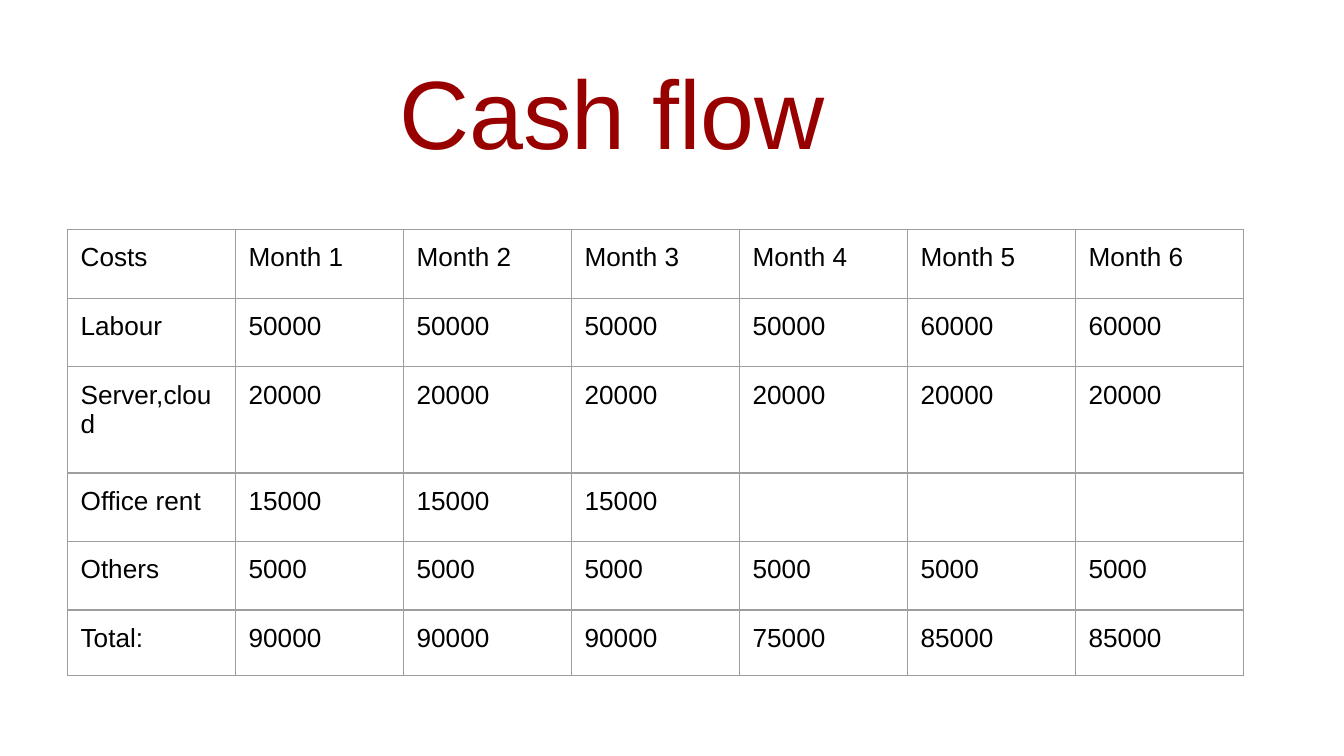
from dataclasses import dataclass

from lxml import etree
from pptx import Presentation
from pptx import util as u
from pptx.dml.color import RGBColor
from pptx.enum import text
from pptx.oxml import ns


@dataclass(frozen=True)
class Theme:
    font: str = "Arial"
    title_color: str = "980000"
    text_color: str = "000000"
    border_color: str = "9E9E9E"
    title_size: int = 52
    table_size: int = 14
    border_width: float = 0.75


theme = Theme()
inset = u.Inches(0.1)


def add_run(paragraph, content, size, color):
    run = paragraph.add_run()
    run.text = content
    run.font.name = theme.font
    run.font.size = u.Pt(size)
    run.font.color.rgb = RGBColor.from_string(color)


def add_borders(cell):
    properties = cell._tc.get_or_add_tcPr()
    for position, side in enumerate(("lnL", "lnR", "lnT", "lnB")):
        line = etree.Element(ns.qn("a:" + side), w=str(u.Pt(theme.border_width)))
        fill = etree.SubElement(line, ns.qn("a:solidFill"))
        etree.SubElement(fill, ns.qn("a:srgbClr"), val=theme.border_color)
        properties.insert(position, line)


# Slide in 16:9 format
presentation = Presentation()
presentation.slide_width = u.Inches(10)
presentation.slide_height = u.Inches(10 * 9 / 16)
slide = presentation.slides.add_slide(presentation.slide_layouts[5])

# Title
title = slide.shapes.title
title.left, title.top = u.Inches(0.21), u.Inches(0.29)
title.width, title.height = u.Inches(8.69), u.Inches(1.07)
frame = title.text_frame
frame.word_wrap = True
frame.auto_size = text.MSO_AUTO_SIZE.NONE
frame.vertical_anchor = text.MSO_ANCHOR.BOTTOM
frame.margin_left = frame.margin_right = inset
frame.margin_top = frame.margin_bottom = inset
paragraph = frame.paragraphs[0]
paragraph.alignment = text.PP_ALIGN.CENTER
add_run(paragraph, "Cash flow", theme.title_size, theme.title_color)

# Monthly costs, with totals worked out per month
costs = {
    "Labour": [50000] * 4 + [60000] * 2,
    "Server,cloud": [20000] * 6,
    "Office rent": [15000] * 3 + [0] * 3,
    "Others": [5000] * 6,
}
totals = [sum(month) for month in zip(*costs.values())]
rows = [["Costs"] + [f"Month {month}" for month in range(1, 7)]]
for label, amounts in [*costs.items(), ("Total:", totals)]:
    rows.append([label] + [str(amount) if amount else "" for amount in amounts])

# Table
row_heights = [0.51, 0.51, 0.79, 0.51, 0.51, 0.49]
column_width = 1.25
table = slide.shapes.add_table(
    len(rows), len(rows[0]), u.Inches(0.5), u.Inches(1.71),
    u.Inches(column_width * len(rows[0])), u.Inches(sum(row_heights)),
).table
table.first_row = table.horz_banding = False
for column in table.columns:
    column.width = u.Inches(column_width)

for row, height, values in zip(table.rows, row_heights, rows):
    row.height = u.Inches(height)
    for cell, value in zip(row.cells, values):
        cell.fill.background()
        cell.margin_left = cell.margin_right = inset
        cell.margin_top = cell.margin_bottom = inset
        add_borders(cell)
        if value:
            add_run(cell.text_frame.paragraphs[0], value,
                    theme.table_size, theme.text_color)

presentation.save("out.pptx")
